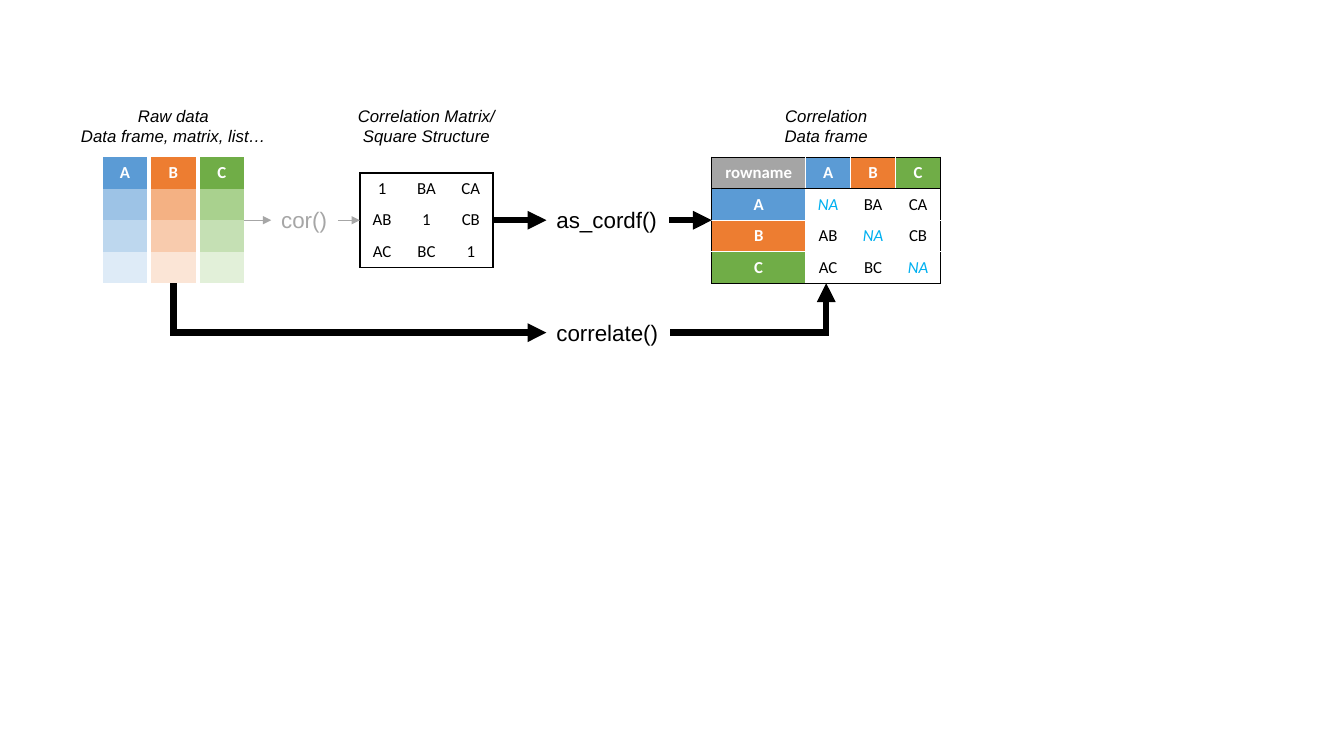
from dataclasses import dataclass

from lxml import etree
from pptx import Presentation
from pptx import util as u
from pptx.dml.color import RGBColor
from pptx.enum import shapes, text
from pptx.oxml import ns


@dataclass(frozen=True)
class Theme:
    black: str = "000000"
    white: str = "FFFFFF"
    gray: str = "A5A5A5"
    pale: str = "A6A6A6"
    cyan: str = "00B0F0"
    sans: str = "Arial"
    body: str = "Calibri"
    small: int = 12
    large: int = 16
    thin: float = 1
    thick: float = 4.5


T = Theme()
SHADES = {
    "A": ("5B9BD5", "9DC3E6", "BDD7EE", "DEEBF7"),
    "B": ("ED7D31", "F4B183", "F8CBAD", "FBE5D6"),
    "C": ("70AD47", "A9D18E", "C5E0B4", "E2F0D9"),
}
HEADS = {"rowname": T.gray} | {name: tones[0] for name, tones in SHADES.items()}
PLAIN = "{2D5ABB26-0587-4C30-8999-92F81FD0307C}"

TOP = 1.56
ROW = 1.25 / 4
COL = 0.44
STEP = 0.48
RAW = 1.02
SQUARE = 3.57
FRAME = 7.06
WIDE = (0.93, *[1.34 / 3] * 3)
MID = TOP + 2 * ROW
BASE = TOP + 4 * ROW
FLOW = 3.3
COR = 2.69
CALL = 5.42


def paint(fill, color):
    fill.solid()
    fill.fore_color.rgb = RGBColor.from_string(color)


def write(frame, words, size=T.small, face=T.sans, color=T.black,
          bold=False, slant=False, align=text.PP_ALIGN.CENTER):
    frame.text = words
    for para in frame.paragraphs:
        para.alignment = align
        if not para.runs:
            para._p.get_or_add_endParaRPr().set("sz", str(size * 100))
        for run in para.runs:
            font = run.font
            font.size, font.name = u.Pt(size), face
            font.bold, font.italic = bold, slant
            font.color.rgb = RGBColor.from_string(color)


def label(slide, words, left, top, width, height, **style):
    box = slide.shapes.add_textbox(*map(u.Inches, (left, top, width, height)))
    frame = box.text_frame
    frame.word_wrap = False
    frame.auto_size = text.MSO_AUTO_SIZE.SHAPE_TO_FIT_TEXT
    write(frame, words, **style)


def title(slide, words, center, width):
    label(slide, words, center - width / 2, 1, width, 0.5, slant=True)


def call(slide, words, left, center, width, color=T.black):
    height = 0.37
    label(slide, words, left, center - height / 2, width, height,
          size=T.large, color=color, align=text.PP_ALIGN.LEFT)


def edge(cell, side, color):
    line = etree.SubElement(cell._tc.get_or_add_tcPr(), ns.qn(f"a:ln{side}"))
    if color is None:
        etree.SubElement(line, ns.qn("a:noFill"))
        return
    line.set("w", str(u.Pt(T.thin)))
    fill = etree.SubElement(line, ns.qn("a:solidFill"))
    etree.SubElement(fill, ns.qn("a:srgbClr"), val=color)


def border(cell, row, col, last, right, inner, head):
    outer = {
        "L": col == 0,
        "R": col == right,
        "T": row == 0 or (head and row == 1),
        "B": row == last or (head and row == 0),
    }
    for side, dark in outer.items():
        edge(cell, side, T.black if dark else inner)


def grid(slide, rows, left, top, widths, inner=None, boxed=True, head=False):
    high, wide = len(rows), len(widths)
    place = map(u.Inches, (left, top, sum(widths), high * ROW))
    table = slide.shapes.add_table(high, wide, *place).table
    table.first_row = table.horz_banding = False
    table._tbl.tblPr.find(ns.qn("a:tableStyleId")).text = PLAIN
    for line in table.rows:
        line.height = u.Inches(ROW)
    for column, width in zip(table.columns, widths):
        column.width = u.Inches(width)
    for row, line in enumerate(rows):
        for col, (words, fill, style) in enumerate(line):
            cell = table.cell(row, col)
            cell.margin_left = cell.margin_right = u.Inches(0.05)
            cell.vertical_anchor = text.MSO_ANCHOR.MIDDLE
            if boxed:
                border(cell, row, col, high - 1, wide - 1, inner, head)
            paint(cell.fill, fill)
            write(cell.text_frame, words, face=T.body, **style)


def key(name):
    return name, HEADS[name], {"color": T.white, "bold": True}


def value(words):
    style = {"color": T.cyan, "slant": True} if words == "NA" else {}
    return words, T.white, style


def pairs(same):
    return [[value(same if row == col else col + row) for col in SHADES]
            for row in SHADES]


def turn(start, end):
    (x1, y1), (x2, y2) = start, end
    midx, midy = (x1 + x2) / 2, (y1 + y2) / 2
    halfx, halfy = (x2 - x1) / 2, (y2 - y1) / 2
    return (midx + halfy, midy - halfx), (midx - halfy, midy + halfx)


def arrow(slide, start, end, color=T.black, width=T.thick, bend=False, spin=0):
    kind = shapes.MSO_CONNECTOR.ELBOW if bend else shapes.MSO_CONNECTOR.STRAIGHT
    link = slide.shapes.add_connector(kind, *map(u.Inches, (*start, *end)))
    link.line.width = u.Pt(width)
    paint(link.line.fill, color)
    props = link._element.spPr
    line = props.find(ns.qn("a:ln"))
    if bend:
        props.find(ns.qn("a:prstGeom")).set("prst", "bentConnector2")
        props.find(ns.qn("a:xfrm")).set("rot", str(spin * 60000))
        etree.SubElement(line, ns.qn("a:miter"), lim="800000")
    etree.SubElement(line, ns.qn("a:tailEnd"), type="triangle")
    etree.SubElement(props, ns.qn("a:effectLst"))


def tables(slide):
    for spot, (name, tones) in enumerate(SHADES.items()):
        rows = [[key(name)]] + [[("", tone, {})] for tone in tones[1:]]
        grid(slide, rows, RAW + spot * STEP, TOP, (COL,), boxed=False)

    grid(slide, pairs("1"), SQUARE, TOP + ROW / 2, (COL,) * 3)

    heads = [key(name) for name in HEADS]
    body = [[key(name), *line] for name, line in zip(SHADES, pairs("NA"))]
    grid(slide, [heads, *body], FRAME, TOP, WIDE, inner=T.white, head=True)


def main():
    deck = Presentation()
    deck.slide_width, deck.slide_height = u.Inches(13.33), u.Inches(7.5)
    slide = deck.slides.add_slide(deck.slide_layouts[6])
    tables(slide)

    first = RAW + STEP + COL / 2
    second = SQUARE + 1.5 * COL
    third = FRAME + sum(WIDE) / 2
    title(slide, "Raw data\nData frame, matrix, list…", first, 2.05)
    title(slide, "Correlation Matrix/\vSquare Structure", second, 1.57)
    title(slide, "Correlation\vData frame", third, 1.03)

    call(slide, "cor()", COR, MID, 0.66, T.pale)
    call(slide, "as_cordf()", CALL, MID, 1.21)
    call(slide, "correlate()", CALL, FLOW, 1.23)

    for left, right, color, width in (
        (RAW + 2 * STEP + COL, COR, T.pale, T.thin),
        (3.35, SQUARE, T.pale, T.thin),
        (SQUARE + 3 * COL, CALL, T.black, T.thick),
        (6.64, FRAME, T.black, T.thick),
    ):
        arrow(slide, (left, MID), (right, MID), color, width)
    arrow(slide, *turn((first, BASE), (CALL, FLOW)), bend=True, spin=270)
    arrow(slide, (6.65, FLOW), (third, BASE), bend=True)

    deck.save("out.pptx")


main()
